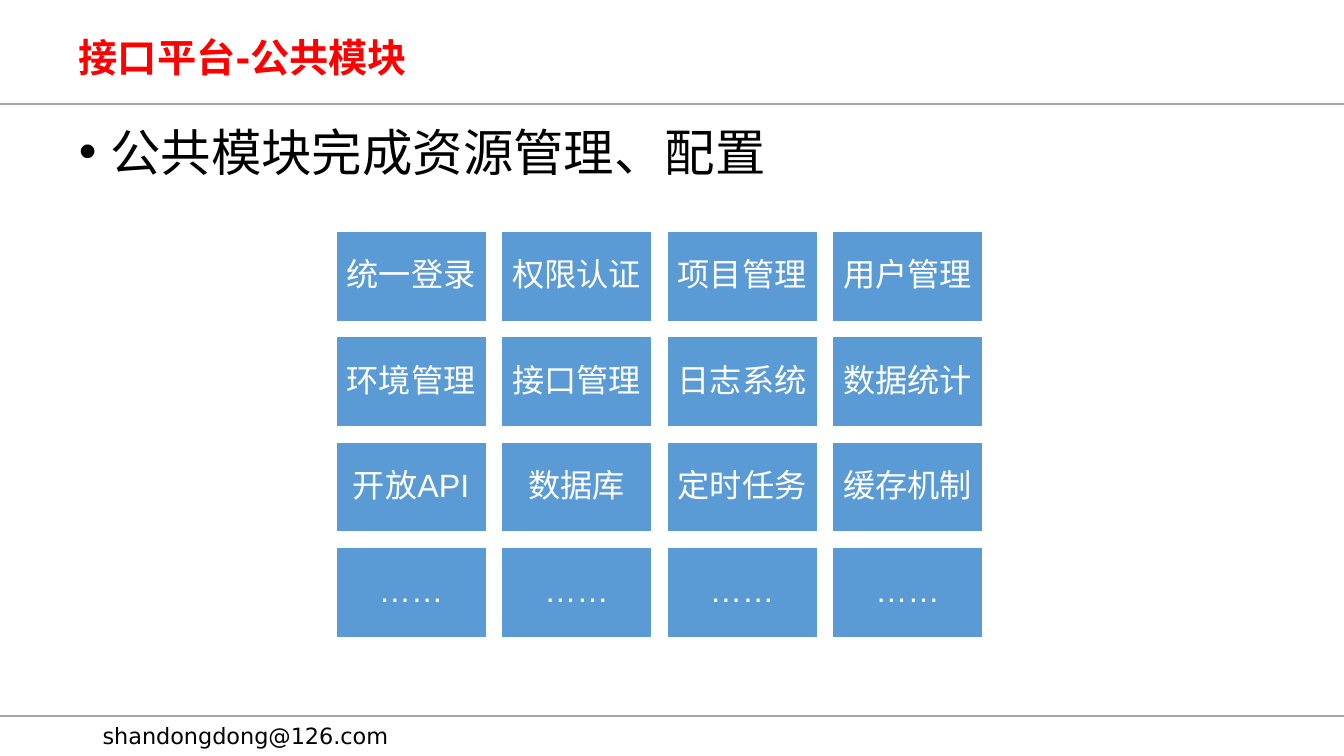
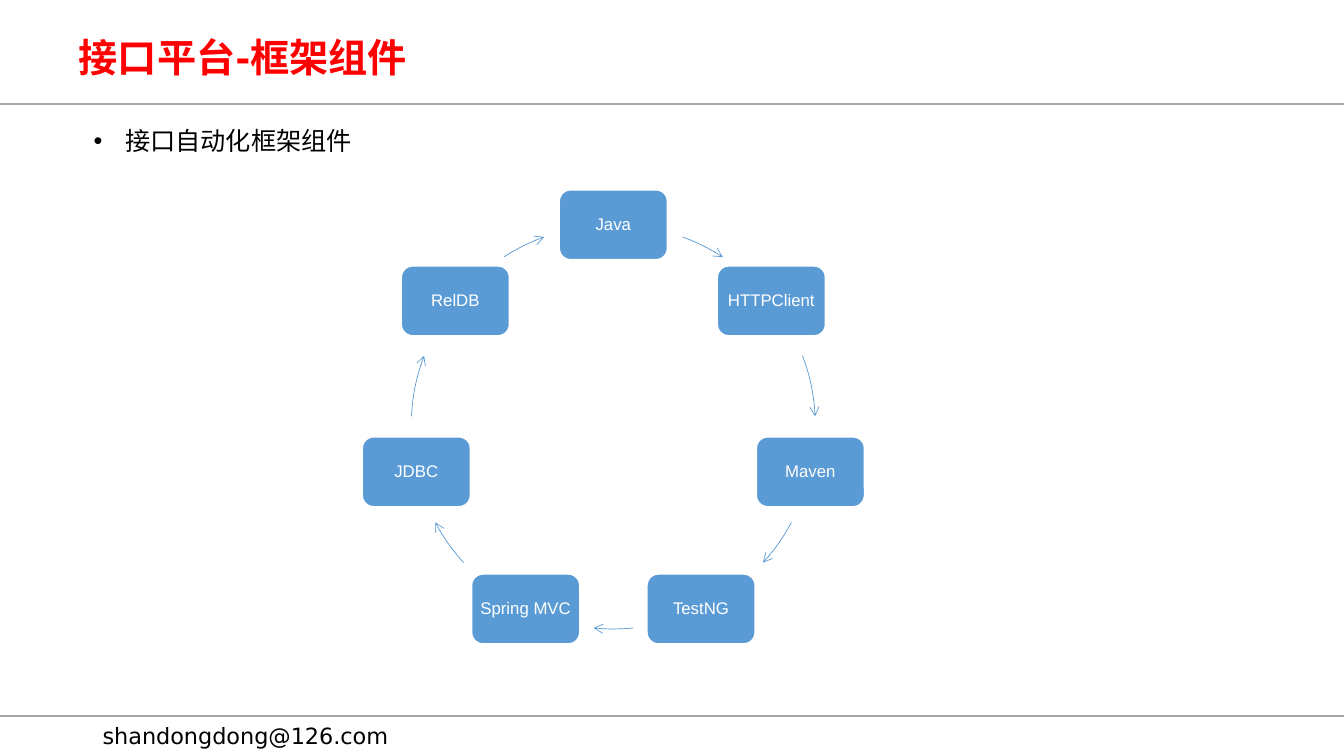
from math import cos, radians, sin

from lxml.etree import SubElement
from pptx import Presentation
from pptx.dml.color import RGBColor
from pptx.enum.shapes import MSO_CONNECTOR, MSO_SHAPE
from pptx.enum.text import MSO_ANCHOR, PP_ALIGN
from pptx.oxml.ns import qn
from pptx.util import Inches, Pt

# Grid: square units of 1/12 inch
COLUMNS, ROWS = 160, 90
UNIT = Inches(7.5) / ROWS


def grid(*lengths):
    return [round(length * UNIT) for length in lengths]


def color(value):
    return RGBColor.from_string(value)


def write(shape, text, size=18, font="Arial", fill="000000", bold=False,
          align=PP_ALIGN.LEFT, anchor=MSO_ANCHOR.MIDDLE, spacing=1.0,
          inset=7.2, bullet_indent=None):
    """Put one formatted paragraph into a shape."""
    frame = shape.text_frame
    frame.word_wrap = True
    frame.vertical_anchor = anchor
    frame.margin_left = frame.margin_right = Pt(inset)
    frame.margin_top = frame.margin_bottom = Pt(min(inset, 3.6))
    paragraph = frame.paragraphs[0]
    paragraph.alignment = align
    paragraph.line_spacing = spacing
    run = paragraph.add_run()
    run.text = text
    run.font.size, run.font.name, run.font.bold = Pt(size), font, bold
    run.font.color.rgb = color(fill)
    if bullet_indent:
        properties = paragraph._p.get_or_add_pPr()
        properties.set("marL", str(Pt(bullet_indent)))
        properties.set("indent", str(-Pt(bullet_indent)))
        SubElement(properties, qn("a:buFont"), typeface="Arial")
        SubElement(properties, qn("a:buChar"), char="•")


class Deck:
    """Shared style and the slide being filled."""
    RED, BLUE, GRAY, WHITE = "FF0000", "5B9BD5", "A5A5A5", "FFFFFF"

    def __init__(self):
        self.presentation = Presentation()
        width, height = grid(COLUMNS, ROWS)
        self.presentation.slide_width = width
        self.presentation.slide_height = height
        self.slide = None

    def add_slide(self, title):
        layout = self.presentation.slide_layouts[6]
        self.slide = self.presentation.slides.add_slide(layout)
        for row in (12.4, 85.2):
            self.rule(row)
        footer = self.shape(MSO_SHAPE.SNIP_1_RECTANGLE, 11.04, 84.84, 37.56, 5.04)
        write(footer, "shandongdong@126.com", size=16, font="DejaVu Sans")
        self.text(title, 8.2, 3.28, 63.72, 7.68, size=28, font="Montserrat",
                  fill=self.RED, bold=True, spacing=0.9)

    def rule(self, row):
        start_x, y, end_x = grid(0, row, COLUMNS)
        line = self.slide.shapes.add_connector(
            MSO_CONNECTOR.STRAIGHT, start_x, y, end_x, y)
        line.line.color.rgb = color(self.GRAY)
        line.line.width = Pt(1.5)
        SubElement(line._element.spPr, qn("a:effectLst"))

    def text(self, text, column, row, width, height, **style):
        box = self.slide.shapes.add_textbox(*grid(column, row, width, height))
        write(box, text, **style)

    def bullet(self, text, column, row, width, height, size):
        self.text(text, column, row, width, height, size=size,
                  anchor=MSO_ANCHOR.TOP, bullet_indent=22.5)

    def shape(self, kind, column, row, width, height,
              fill=None, line=None, line_width=1):
        shape = self.slide.shapes.add_shape(kind, *grid(column, row, width, height))
        shape.shadow.inherit = False
        if fill:
            shape.fill.solid()
            shape.fill.fore_color.rgb = color(fill)
        else:
            shape.fill.background()
        if line:
            shape.line.color.rgb = color(line)
            shape.line.width = Pt(line_width)
        else:
            shape.line.fill.background()
        return shape

    def block(self, text, kind, column, row, width, height, size, inset, line_width):
        block = self.shape(kind, column, row, width, height,
                           self.BLUE, self.WHITE, line_width)
        write(block, text, size=size, fill=self.WHITE, align=PP_ALIGN.CENTER,
              spacing=0.9, inset=inset)

    def arc_arrow(self, center_x, center_y, radius, start, end):
        arc = self.shape(MSO_SHAPE.ARC, center_x - radius, center_y - radius,
                         2 * radius, 2 * radius, line=self.BLUE, line_width=0.5)
        # Adjustments count 100000 to one, angles 60000 to a degree
        for index, angle in enumerate((start, end)):
            arc.adjustments[index] = angle % 360 * 0.6
        SubElement(arc.line._get_or_add_ln(), qn("a:tailEnd"), type="arrow")


def build_modules(deck):
    deck.add_slide("接口平台-公共模块")
    deck.bullet("公共模块完成资源管理、配置", 8.2, 13.8, 87.6, 8.52, size=36)
    modules = [
        ["统一登录", "权限认证", "项目管理", "用户管理"],
        ["环境管理", "接口管理", "日志系统", "数据统计"],
        ["开放API", "数据库", "定时任务", "缓存机制"],
        ["……"] * 4,
    ]
    for row, names in enumerate(modules):
        for column, name in enumerate(names):
            deck.block(name, MSO_SHAPE.RECTANGLE,
                       40 + column * 19.7, 27.52 + row * 12.54, 17.9, 10.74,
                       size=23, inset=6, line_width=1)


def build_components(deck):
    deck.add_slide("接口平台-框架组件")
    components = ["Java", "HTTPClient", "Maven", "TestNG",
                  "Spring MVC", "JDBC", "RelDB"]
    center_x, center_y, radius = 73.02, 50.82, 24.06
    width, height = 12.96, 8.4

    # Boxes spread evenly round the ring, clockwise from the top
    for index, name in enumerate(components):
        angle = radians(360 / len(components) * index - 90)
        deck.block(name, MSO_SHAPE.ROUNDED_RECTANGLE,
                   center_x + radius * cos(angle) - width / 2,
                   center_y + radius * sin(angle) - height / 2,
                   width, height, size=12, inset=4, line_width=1.5)

    # Arrows on the right side, mirrored to the left; the lowest is its own mirror
    right = [(-70, -57.2), (-20.6, -3), (28.2, 42.2)]
    left = [(180 - end, 180 - start) for start, end in right]
    for start, end in right + [(84.4, 95.6)] + left:
        deck.arc_arrow(center_x, center_y, radius, start, end)

    deck.bullet("接口自动化框架组件", 9.96, 14.32, 90.48, 4.8, size=18)


def main():
    deck = Deck()
    build_modules(deck)
    build_components(deck)
    deck.presentation.save("out.pptx")


if __name__ == "__main__":
    main()
